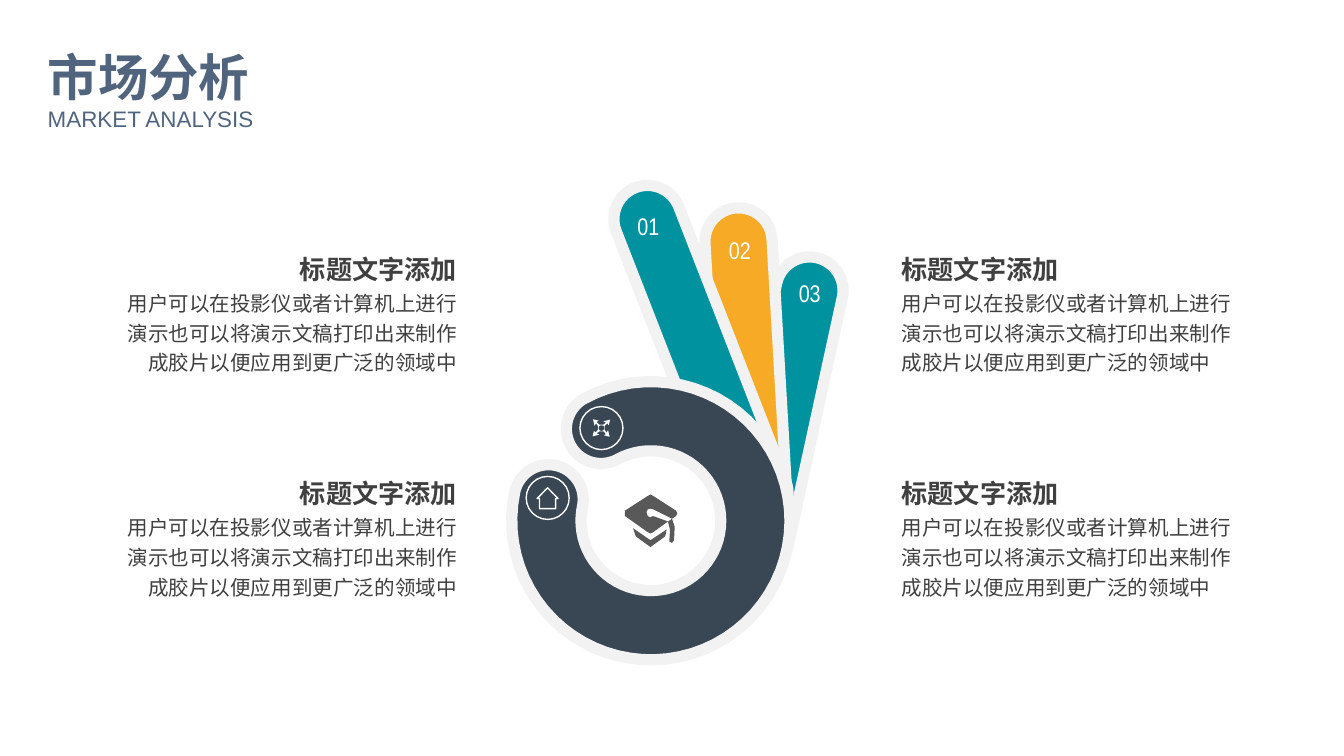
from math import cos, radians, sin

from pptx import Presentation
from pptx.dml.color import RGBColor
from pptx.enum.shapes import MSO_SHAPE as Preset
from pptx.enum.text import MSO_ANCHOR as Anchor, MSO_AUTO_SIZE as AutoSize, PP_ALIGN as Align
from pptx.util import Inches, Pt

CELL = Inches(0.1)
COLUMNS, ROWS = 100, 56.25
SLATE = RGBColor(0x51, 0x64, 0x7E)
NAVY = RGBColor(0x39, 0x47, 0x54)
TEAL = RGBColor(0x00, 0x93, 0x9F)
ORANGE = RGBColor(0xF6, 0xAA, 0x26)
PALE = RGBColor(0xF2, 0xF2, 0xF2)
WHITE = RGBColor(0xFF, 0xFF, 0xFF)
INK = RGBColor(0x40, 0x40, 0x40)
GRAY = RGBColor(0x59, 0x59, 0x59)

HEADING = "标题文字添加"
BODY = "用户可以在投影仪或者计算机上进行演示也可以将演示文稿打印出来制作成胶片以便应用到更广泛的领域中"

FINGERS = [
    (46.2, 28.4, 24.0, 102.3, TEAL),
    (42.6, 25.9, 25.9, 86.7, ORANGE),
    (38.7, 24.0, 26.9, 68.7, TEAL),
]
NUMBERS = [("01", 46.6, 15.3, 3.3), ("02", 53.3, 17.1, 3.5), ("03", 58.5, 20.3, 3.5)]
PALM = (48.43, 38.75)
THUMB_TIP, INDEX_TIP = 191.8, -118.5
CAP = [
    [(46.5, 38), (48.2, 36.9), (48.4, 36.8), (48.6, 36.9), (50.3, 38), (50.4, 38.2),
     (50.3, 38.4), (50, 38.6), (48.8, 38), (48.6, 37.9), (48.4, 37.85), (48.2, 37.9),
     (48.1, 38.1), (48.2, 38.4), (48.4, 38.5), (48.6, 38.4), (49.7, 38.8), (48.6, 39.6),
     (48.4, 39.7), (48.2, 39.6), (46.5, 38.4)],
    [(47.1, 39.3), (48.4, 40.2), (49.6, 39.4), (49.5, 39.9), (49.1, 40.2), (48.4, 40.7),
     (47.7, 40.2), (47.3, 39.9)],
    [(49.7, 38.8), (50, 38.6), (50.2, 39.2), (50.15, 40.2), (50, 40.4), (49.8, 40.3),
     (49.85, 39.4)],
]
HOUSE_CENTER, ARROWS_CENTER = (40.75, 37.05), (44.75, 31.85)
HOUSE = [(0, -0.75), (0.78, 0.05), (0.6, 0.05), (0.6, 0.8), (-0.6, 0.8), (-0.6, 0.05), (-0.78, 0.05)]
ARROW = [(-0.25, -0.15), (-0.4, -0.35), (-0.5, -0.15), (-0.62, -0.65), (-0.2, -0.55),
         (-0.35, -0.45), (-0.15, -0.25)]


def arc(center, radius, start, stop, steps=60):
    angles = [radians(start + (stop - start) * step / steps) for step in range(steps + 1)]
    return [(center[0] + radius * cos(a), center[1] + radius * sin(a)) for a in angles]


def shifted(points, center):
    return [(center[0] + x, center[1] + y) for x, y in points]


def horseshoe(center, outer, inner, start, stop):
    middle, cap = (outer + inner) / 2, (outer - inner) / 2
    first, last = (arc(center, middle, angle, angle, 1)[0] for angle in (start, stop))
    return (arc(center, outer, start, stop) + arc(last, cap, stop, stop + 180)
            + arc(center, inner, stop, start) + arc(first, cap, start + 180, start + 360))


def four_way(points):
    outline = []
    for _ in range(4):
        outline += points
        points = [(-y, x) for x, y in points]
    return outline


class Painter:
    """Draws styled elements on one page, measured in grid cells."""

    def __init__(self, deck):
        self.page = deck.slides.add_slide(deck.slide_layouts[6])
        self.shapes = self.page.shapes

    def style(self, shape, fill=None, line=None, weight=0.75):
        shape.shadow.inherit = False
        for paint, color in ((shape.fill, fill), (shape.line.fill, line)):
            if color is None:
                paint.background()
            else:
                paint.solid()
                paint.fore_color.rgb = color
        if line is not None:
            shape.line.width = Pt(weight)

    def preset(self, kind, left, top, width, height, **look):
        shape = self.shapes.add_shape(kind, *(round(n * CELL) for n in (left, top, width, height)))
        self.style(shape, **look)
        return shape

    def finger(self, left, top, length, angle, color):
        shape = self.preset(Preset.ROUNDED_RECTANGLE, left, top, length, 5, fill=color, line=PALE, weight=6)
        shape.adjustments[0] = 0.5
        shape.rotation = angle

    def circle(self, center, size, **look):
        self.preset(Preset.OVAL, center[0] - size / 2, center[1] - size / 2, size, size, **look)

    def outline(self, *contours, **look):
        scaled = [[(round(x * CELL), round(y * CELL)) for x, y in points] for points in contours]
        builder = self.shapes.build_freeform(*scaled[0][0])
        builder.add_line_segments(scaled[0][1:])
        for points in scaled[1:]:
            builder.move_to(*points[0])
            builder.add_line_segments(points[1:])
        self.style(builder.convert_to_shape(), **look)

    def text(self, words, left, top, width, height, size, color, bold=False, align=Align.LEFT,
             font="Arial", spacing=1.2, inset=(1, 0.5), label=False):
        box = self.shapes.add_textbox(*(round(n * CELL) for n in (left, top, width, height)))
        frame = box.text_frame
        frame.word_wrap = not label
        frame.auto_size = AutoSize.NONE if label else AutoSize.SHAPE_TO_FIT_TEXT
        frame.vertical_anchor = Anchor.MIDDLE if label else Anchor.TOP
        frame.margin_left = frame.margin_right = round(inset[0] * CELL)
        frame.margin_top = frame.margin_bottom = round(inset[1] * CELL)
        para = frame.paragraphs[0]
        para.alignment = align
        para.line_spacing = spacing
        span = para.add_run()
        span.text = words
        span.font.name, span.font.size, span.font.bold = font, Pt(size), bold
        span.font.color.rgb = color


def main():
    deck = Presentation()
    deck.slide_width, deck.slide_height = round(COLUMNS * CELL), round(ROWS * CELL)
    painter = Painter(deck)

    painter.text("市场分析", 2.8, 2.1, 21.8, 6.2, 27, SLATE, bold=True, inset=(0.75, 0.4))
    painter.text("MARKET ANALYSIS", 2.8, 7, 21.8, 3.2, 12, SLATE, inset=(0.75, 0.4))

    for finger in FINGERS:
        painter.finger(*finger)
    painter.outline(horseshoe(PALM, 10.35, 5.2, INDEX_TIP, THUMB_TIP), fill=NAVY, line=PALE, weight=6)
    painter.outline(*CAP, fill=GRAY)
    for center in (HOUSE_CENTER, ARROWS_CENTER):
        painter.circle(center, 3.2, line=WHITE)
    painter.outline(shifted(HOUSE, HOUSE_CENTER), line=WHITE)
    painter.outline(shifted(four_way(ARROW), ARROWS_CENTER), fill=WHITE)
    painter.circle(ARROWS_CENTER, 0.42, fill=NAVY)
    for words, left, top, width in NUMBERS:
        painter.text(words, left, top, width, 3, 12.9, WHITE, align=Align.CENTER,
                     font="Arial Narrow", spacing=1.0, label=True)

    for right, align in ((92.6, Align.LEFT), (35, Align.RIGHT)):
        left = right - 26.5
        heading_left = left if align == Align.LEFT else right - 18.4
        for top in (17.9, 34.6):
            painter.text(BODY, left, top + 2.9, 26.5, 7.7, 11, INK, align=align)
            painter.text(HEADING, heading_left, top, 18.4, 3.8, 14, INK, bold=True, align=align)

    deck.save("out.pptx")


if __name__ == "__main__":
    main()
